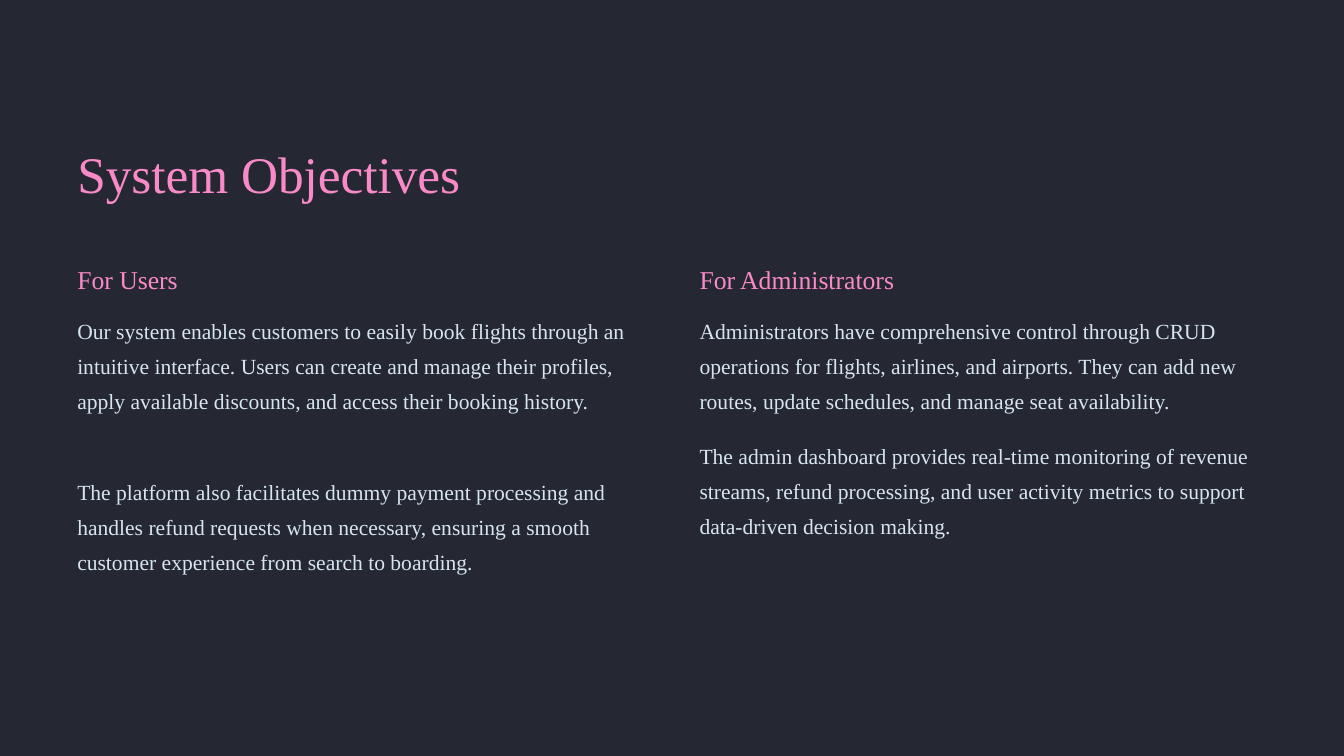
from pptx import Presentation
from pptx.dml.color import RGBColor
from pptx.enum.shapes import MSO_SHAPE
from pptx.enum.text import MSO_ANCHOR, MSO_AUTO_SIZE, PP_ALIGN
from pptx.util import Inches, Pt

DARK = RGBColor(0x25, 0x28, 0x33)
PINK = RGBColor(0xF9, 0x8A, 0xC7)
PALE = RGBColor(0xD6, 0xE5, 0xEF)
FONT = "Times New Roman"

WIDTH, HEIGHT = 20, 11.25
LEFT, RIGHT = 1.15, 10.41
TOP = 3.91

# Each paragraph: offset from the column top, height, text
USERS = [
    (0.69, 2.29, "Our system enables customers to easily book flights through an "
     "intuitive interface. Users can create and manage their profiles, apply "
     "available discounts, and access their booking history."),
    (3.08, 1.77, "The platform also facilitates dummy payment processing and "
     "handles refund requests when necessary, ensuring a smooth customer "
     "experience from search to boarding."),
]
ADMINS = [
    (0.69, 1.77, "Administrators have comprehensive control through CRUD "
     "operations for flights, airlines, and airports. They can add new routes, "
     "update schedules, and manage seat availability."),
    (2.55, 1.77, "The admin dashboard provides real-time monitoring of revenue "
     "streams, refund processing, and user activity metrics to support "
     "data-driven decision making."),
]


def write(shape, text, size, color, line):
    frame = shape.text_frame
    frame.word_wrap = True
    frame.auto_size = MSO_AUTO_SIZE.NONE
    frame.vertical_anchor = MSO_ANCHOR.TOP
    frame.margin_left = frame.margin_right = 0
    frame.margin_top = frame.margin_bottom = 0
    frame.text = text
    para = frame.paragraphs[0]
    para.alignment = PP_ALIGN.LEFT
    para.line_spacing = Pt(line)
    para.font.name = FONT
    para.font.size = Pt(size)
    para.font.color.rgb = color


def add_text(slide, left, top, width, height, text, **style):
    box = slide.shapes.add_textbox(
        Inches(left), Inches(top), Inches(width), Inches(height))
    write(box, text, **style)


def add_panel(slide, left, top, width, height):
    panel = slide.shapes.add_shape(
        MSO_SHAPE.RECTANGLE,
        Inches(left), Inches(top), Inches(width), Inches(height))
    panel.shadow.inherit = False
    panel.fill.solid()
    panel.fill.fore_color.rgb = DARK
    panel.line.fill.background()
    # Place it behind the title
    slide.shapes.title.element.addprevious(panel.element)


def add_title(slide, left, top, width, height, text):
    title = slide.shapes.title
    title.left, title.top = Inches(left), Inches(top)
    title.width, title.height = Inches(width), Inches(height)
    write(title, text, size=55, color=PINK, line=68.8)


def add_column(slide, left, top, width, head, paras):
    # Heading
    add_text(slide, left, top, 3.85, 0.56, head,
             size=27.5, color=PINK, line=34.4)
    # Body paragraphs
    for drop, height, text in paras:
        add_text(slide, left, top + drop, width, height, text,
                 size=23.1, color=PALE, line=37.5)


def main():
    deck = Presentation()
    deck.slide_width, deck.slide_height = Inches(WIDTH), Inches(HEIGHT)
    slide = deck.slides.add_slide(deck.slide_layouts.get_by_name("Title Only"))

    # Full-slide panel
    add_panel(slide, 0, 0, WIDTH, HEIGHT)

    # Title and two columns
    add_title(slide, LEFT, 2.08, 7.7, 1.09, "System Objectives")
    add_column(slide, LEFT, TOP, 8.46, "For Users", USERS)
    add_column(slide, RIGHT, TOP, 8.46, "For Administrators", ADMINS)

    deck.save("out.pptx")


if __name__ == "__main__":
    main()
